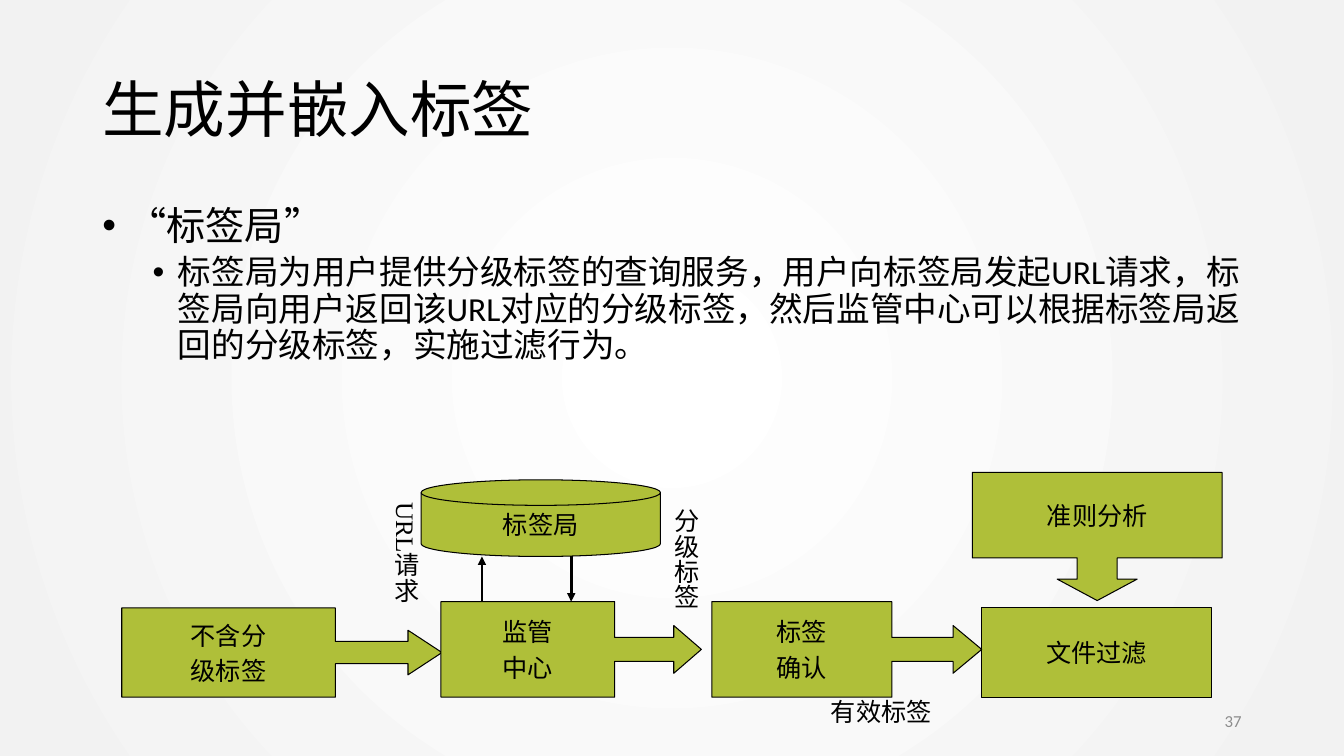
from dataclasses import dataclass

from lxml import etree
from pptx import Presentation
from pptx.dml.color import RGBColor
from pptx.enum.shapes import MSO_CONNECTOR, MSO_SHAPE
from pptx.enum.text import MSO_ANCHOR, PP_ALIGN
from pptx.oxml import parse_xml
from pptx.oxml.ns import nsdecls, qn
from pptx.util import Pt

PX = 9525
BLANK_LAYOUT = 6
TOP, MIDDLE = MSO_ANCHOR.TOP, MSO_ANCHOR.MIDDLE
LEFT, CENTER, RIGHT = PP_ALIGN.LEFT, PP_ALIGN.CENTER, PP_ALIGN.RIGHT
RECTANGLE = MSO_SHAPE.RECTANGLE
DISK = MSO_SHAPE.FLOWCHART_MAGNETIC_DISK
RIGHT_CALLOUT = MSO_SHAPE.RIGHT_ARROW_CALLOUT
DOWN_CALLOUT = MSO_SHAPE.DOWN_ARROW_CALLOUT
STRAIGHT = MSO_CONNECTOR.STRAIGHT


@dataclass(frozen=True)
class Theme:
    """Colours, fonts and type sizes of the slide."""
    ink: RGBColor = RGBColor(0x00, 0x00, 0x00)
    node: RGBColor = RGBColor(0xAF, 0xBF, 0x39)
    muted: RGBColor = RGBColor(0x8C, 0x8C, 0x8C)
    center: RGBColor = RGBColor(0xFF, 0xFF, 0xFF)
    edge: RGBColor = RGBColor(0xF2, 0xF2, 0xF2)
    text_font: str = "Calibri"
    diagram_font: str = "Times New Roman"
    title: int = 44
    bullet: int = 28
    detail: int = 24
    diagram: int = 18
    number: int = 12


THEME = Theme()


def px(*lengths):
    """Turn px lengths into EMU."""
    return [length * PX for length in lengths]


def add_run(paragraph, text, size, font=THEME.text_font, color=THEME.ink):
    """Add one styled run to a paragraph."""
    run = paragraph.add_run()
    run.text = text
    run.font.size = Pt(size)
    run.font.name = font
    run.font.color.rgb = color


def add_text_box(slide, box, anchor=TOP):
    """Add a wrapping text box and return its text frame."""
    frame = slide.shapes.add_textbox(*px(*box)).text_frame
    frame.word_wrap = True
    frame.vertical_anchor = anchor
    return frame


def set_background(slide):
    """Fill the background with a circular gradient."""
    fill = slide.background.fill
    fill.gradient()
    for stop, color, position in zip(fill.gradient_stops, (THEME.center, THEME.edge), (0, 1)):
        stop.color.rgb = color
        stop.position = position
    linear = next(slide.background._cSld.iter(qn("a:lin")))
    circle = parse_xml(
        f'<a:path {nsdecls("a")} path="circle">'
        '<a:fillToRect l="50000" t="50000" r="50000" b="50000"/></a:path>')
    linear.getparent().replace(linear, circle)


def add_title(slide, box, text):
    """Place the slide title."""
    paragraph = add_text_box(slide, box, MIDDLE).paragraphs[0]
    paragraph.line_spacing = 0.9
    add_run(paragraph, text, THEME.title)


def add_bullets(slide, box, items):
    """Place bulleted items given as text, size, margin and space before."""
    frame = add_text_box(slide, box)
    for index, (text, size, margin, space) in enumerate(items):
        paragraph = frame.add_paragraph() if index else frame.paragraphs[0]
        properties = paragraph._p.get_or_add_pPr()
        properties.set("marL", str(margin * PX))
        properties.set("indent", str(-24 * PX))
        etree.SubElement(properties, qn("a:buFont")).set("typeface", "Arial")
        etree.SubElement(properties, qn("a:buChar")).set("char", "•")
        paragraph.line_spacing = 0.9
        paragraph.space_before = Pt(space)
        add_run(paragraph, text, size)


def add_node(slide, kind, box, lines, adjustments=()):
    """Place one outlined diagram node with centred lines."""
    shape = slide.shapes.add_shape(kind, *px(*box))
    shape.shadow.inherit = False
    shape.fill.solid()
    shape.fill.fore_color.rgb = THEME.node
    shape.line.color.rgb = THEME.ink
    shape.line.width = Pt(0.75)
    for index, value in enumerate(adjustments):
        shape.adjustments[index] = value
    frame = shape.text_frame
    frame.word_wrap = False
    frame.vertical_anchor = MIDDLE
    for index, line in enumerate(lines):
        paragraph = frame.add_paragraph() if index else frame.paragraphs[0]
        paragraph.alignment = CENTER
        if index:
            paragraph.space_before = Pt(3.6)
        add_run(paragraph, line, THEME.diagram, THEME.diagram_font)


def add_arrow(slide, x, start, end):
    """Draw a vertical arrow from start to end."""
    connector = slide.shapes.add_connector(STRAIGHT, *px(x, start, x, end))
    connector.line.color.rgb = THEME.ink
    connector.line.width = Pt(2)
    etree.SubElement(connector.line._get_or_add_ln(), qn("a:tailEnd")).set("type", "triangle")
    etree.SubElement(connector._element.spPr, qn("a:effectLst"))


def add_label(slide, box, text, vertical=False):
    """Place a diagram label, optionally set vertically."""
    frame = add_text_box(slide, box)
    if vertical:
        frame._txBody.bodyPr.set("vert", "eaVert")
    paragraph = frame.paragraphs[0]
    paragraph.alignment = LEFT
    add_run(paragraph, text, THEME.diagram, THEME.diagram_font)


def add_flow(slide, box):
    """Draw the label bureau flow inside the box."""
    left, top, width, height = box
    right, bottom = left + width, top + height
    flow_top, disk_top, disk_height = bottom - 91, top + 7, 73
    disk_bottom = disk_top + disk_height
    add_node(slide, RECTANGLE, (right - 229, bottom - 85, 219, 85), ["文件过滤"])
    add_node(slide, DISK, (left + 285, disk_top, 228, disk_height), ["标签局"])
    steps = [
        (0, 305, 85, ["不含分", "级标签"], 0.381),
        (304, 248, 91, ["监管", "中心"], 0.289),
        (562, 257, 91, ["标签", "确认"], 0.3),
    ]
    for offset, step_width, step_height, lines, head in steps:
        add_node(slide, RIGHT_CALLOUT,
                 (left + offset, bottom - step_height, step_width, step_height),
                 lines, (0.25, 0.25, head, 0.667))
    add_node(slide, DOWN_CALLOUT, (right - 238, top, 238, 122), ["准则分析"],
             (0.312, 0.312, 0.167, 0.667))
    add_arrow(slide, left + 343, flow_top, disk_bottom)
    add_arrow(slide, left + 428, disk_bottom, flow_top)
    add_label(slide, (left + 666, bottom - 6, 305, 38), "有效标签")
    add_label(slide, (left + 242, top + 19, 48, 146), "URL请求", vertical=True)
    add_label(slide, (left + 509, top + 25, 48, 153), "分级标签", vertical=True)


def add_slide_number(slide, box, text):
    """Place the slide number at the right of the box."""
    paragraph = add_text_box(slide, box, MIDDLE).paragraphs[0]
    paragraph.alignment = RIGHT
    add_run(paragraph, text, THEME.number, color=THEME.muted)


def main():
    """Build and save the presentation."""
    presentation = Presentation()
    presentation.slide_width, presentation.slide_height = px(1280, 720)
    slide = presentation.slides.add_slide(presentation.slide_layouts[BLANK_LAYOUT])
    set_background(slide)
    add_title(slide, (88, 38, 1104, 139), "生成并嵌入标签")
    add_bullets(slide, (88, 192, 1104, 457), [
        ("“标签局”", THEME.bullet, 24, 0),
        ("标签局为用户提供分级标签的查询服务，用户向标签局发起URL请求，"
         "标签局向用户返回该URL对应的分级标签，然后监管中心可以根据标签"
         "局返回的分级标签，实施过滤行为。", THEME.detail, 72, 5),
    ])
    add_flow(slide, (116, 450, 1048, 214))
    add_slide_number(slide, (904, 667, 288, 38), "37")
    presentation.save("out.pptx")


if __name__ == "__main__":
    main()
